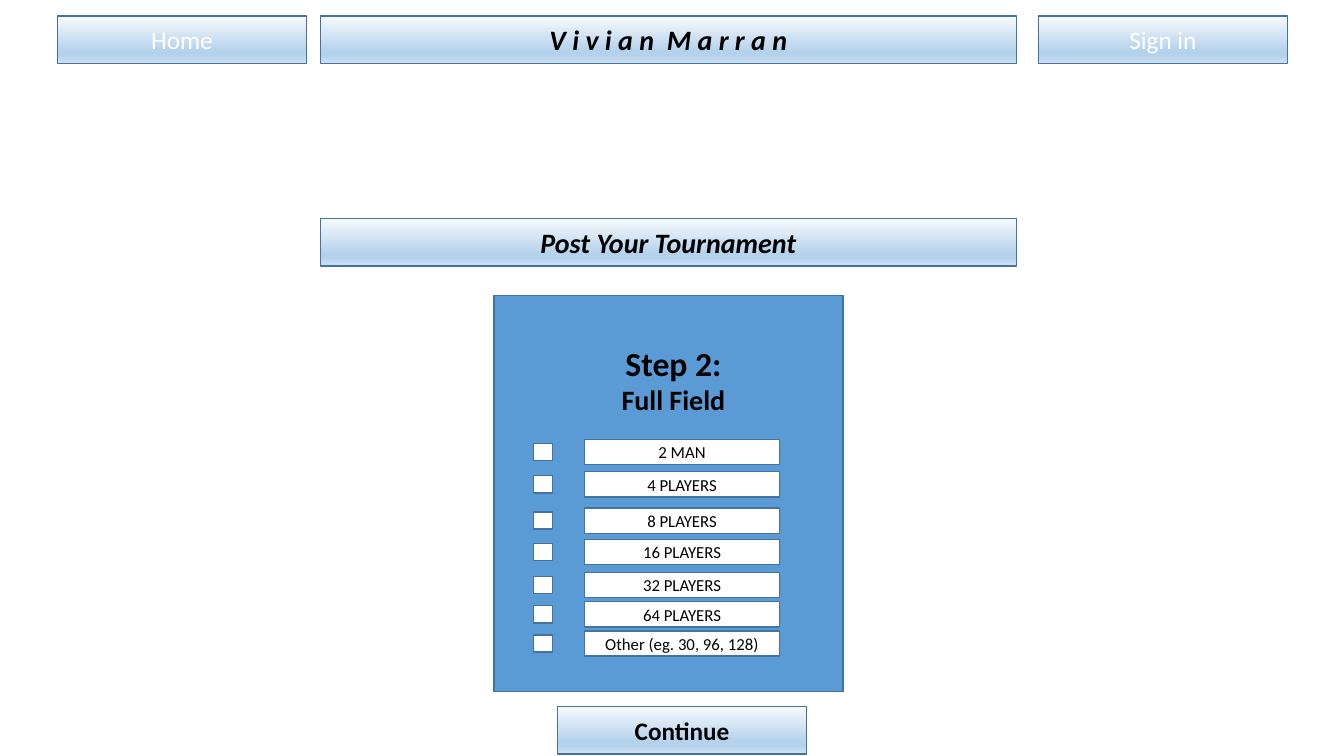
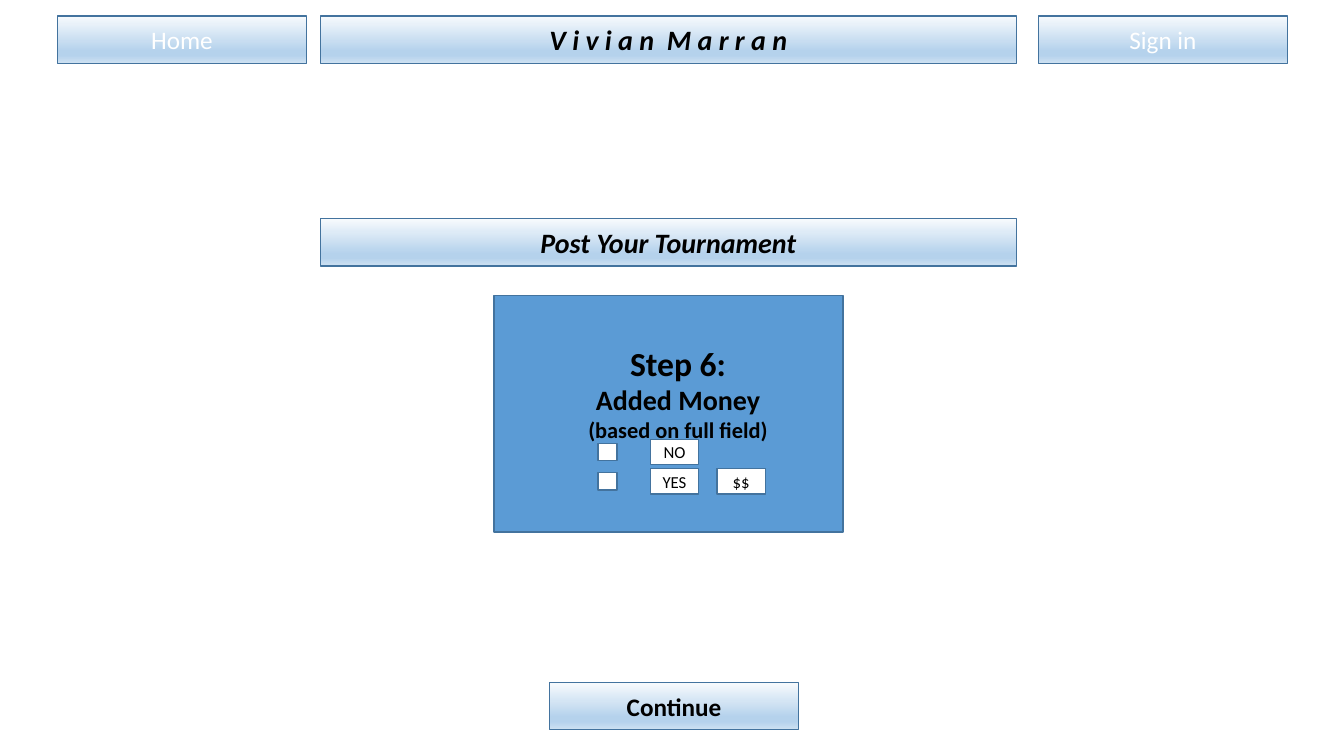
"""Build two tournament posting screens with a shared header and button style."""
from pptx import Presentation
from pptx import util as u
from pptx.dml import color
from pptx.enum import shapes, text
from pptx.oxml import ns, parse_xml

BLUE = color.RGBColor(0x5B, 0x9B, 0xD5)
OUTLINE = color.RGBColor(0x43, 0x73, 0x9E)
WHITE = color.RGBColor(0xFF, 0xFF, 0xFF)
BLACK = color.RGBColor(0x00, 0x00, 0x00)
FONT = "Calibri"
BAND_STOPS = [(0, "F7FAFD"), (74, "B5D2EC"), (83, "B5D2EC"), (100, "CEE1F2")]
BAND_HEIGHT = 0.47
BUTTON_WIDTH = 2.47
TITLE_LEFT, TITLE_WIDTH = 3.18, 6.9
HEADER_TOP = 0.16
PANEL_LEFT, PANEL_TOP, PANEL_WIDTH = 4.9, 2.93, 3.46
FIELD_HEIGHT = 0.25
CHECK_WIDTH, CHECK_HEIGHT, CHECK_OFFSET = 0.19, 0.17, 0.04

SCREENS = [
    {
        "panel_height": 3.93,
        "heading_box": (5.8, 3.35, 1.76, 1.14),
        "heading": [[("Step 2:", 24)], [("Full Field", 20)]],
        "check_left": 5.29,
        "field_lefts": [5.8],
        "field_width": 1.93,
        "rows": [
            (4.36, ["2 MAN"]),
            (4.68, ["4 PLAYERS"]),
            (5.04, ["8 PLAYERS"]),
            (5.35, ["16 PLAYERS"]),
            (5.68, ["32 PLAYERS"]),
            (5.97, ["64 PLAYERS"]),
            (6.26, ["Other (eg. 30, 96, 128)"]),
        ],
        "continue_at": (5.53, 7.01),
    },
    {
        "panel_height": 2.35,
        "heading_box": (5.56, 3.35, 2.33, 1.68),
        "heading": [
            [("Step 6:", 24)],
            [("Added Money ", 20), ("(based on full field)", 16)],
        ],
        "check_left": 5.93,
        "field_lefts": [6.45, 7.11],
        "field_width": 0.48,
        "rows": [(4.36, ["NO"]), (4.65, ["YES", "$$"])],
        "continue_at": (5.45, 6.77),
    },
]


def add_box(slide, left, top, width, height, fill, label="", size=12, ink=BLACK,
            bold=False, italic=False):
    shape = slide.shapes.add_shape(
        shapes.MSO_SHAPE.RECTANGLE,
        u.Inches(left), u.Inches(top), u.Inches(width), u.Inches(height))
    shape.shadow.inherit = False
    shape.line.color.rgb = OUTLINE
    shape.line.width = u.Pt(1)
    shape.fill.solid()
    shape.fill.fore_color.rgb = fill
    if label:
        frame = shape.text_frame
        frame.margin_left = frame.margin_right = u.Inches(0)
        frame.vertical_anchor = text.MSO_ANCHOR.MIDDLE
        frame.text = label
        paragraph = frame.paragraphs[0]
        paragraph.alignment = text.PP_ALIGN.CENTER
        font = paragraph.runs[0].font
        font.name, font.size = FONT, u.Pt(size)
        font.bold, font.italic = bold, italic
        font.color.rgb = ink
    return shape


def add_band(slide, left, top, width, label, **style):
    band = add_box(slide, left, top, width, BAND_HEIGHT, WHITE, label, **style)
    band.fill.gradient()
    band.fill.gradient_angle = 270
    stops = band.fill._xPr.find(ns.qn("a:gradFill")).find(ns.qn("a:gsLst"))
    for stop in list(stops):
        stops.remove(stop)
    for percent, tint in BAND_STOPS:
        stops.append(parse_xml(
            f'<a:gs {ns.nsdecls("a")} pos="{percent * 1000}">'
            f'<a:srgbClr val="{tint}"/></a:gs>'))


presentation = Presentation()
presentation.slide_width = u.Inches(13.33)
presentation.slide_height = u.Inches(7.5)

title_style = {"size": 20, "bold": True, "italic": True}
link_style = {"size": 18, "ink": WHITE}

for screen in SCREENS:
    slide = presentation.slides.add_slide(presentation.slide_layouts[6])

    add_box(slide, PANEL_LEFT, PANEL_TOP, PANEL_WIDTH, screen["panel_height"], BLUE)
    add_band(slide, 0.57, HEADER_TOP, BUTTON_WIDTH, "Home", **link_style)
    add_band(slide, TITLE_LEFT, HEADER_TOP, TITLE_WIDTH, "V i v i a n  M a r r a n",
             **title_style)
    add_band(slide, 10.3, HEADER_TOP, BUTTON_WIDTH, "Sign in", **link_style)
    add_band(slide, TITLE_LEFT, 2.17, TITLE_WIDTH, "Post Your Tournament", **title_style)

    heading = slide.shapes.add_textbox(*map(u.Inches, screen["heading_box"])).text_frame
    heading.word_wrap = True
    for index, pieces in enumerate(screen["heading"]):
        paragraph = heading.add_paragraph() if index else heading.paragraphs[0]
        paragraph.alignment = text.PP_ALIGN.CENTER
        for words, size in pieces:
            run = paragraph.add_run()
            run.text = words
            run.font.name, run.font.size = FONT, u.Pt(size)
            run.font.bold = True
            run.font.color.rgb = BLACK

    for top, labels in screen["rows"]:
        add_box(slide, screen["check_left"], top + CHECK_OFFSET,
                CHECK_WIDTH, CHECK_HEIGHT, WHITE)
        for left, label in zip(screen["field_lefts"], labels):
            add_box(slide, left, top, screen["field_width"], FIELD_HEIGHT, WHITE, label)

    add_band(slide, *screen["continue_at"], BUTTON_WIDTH, "Continue", size=18, bold=True)

presentation.save("out.pptx")
